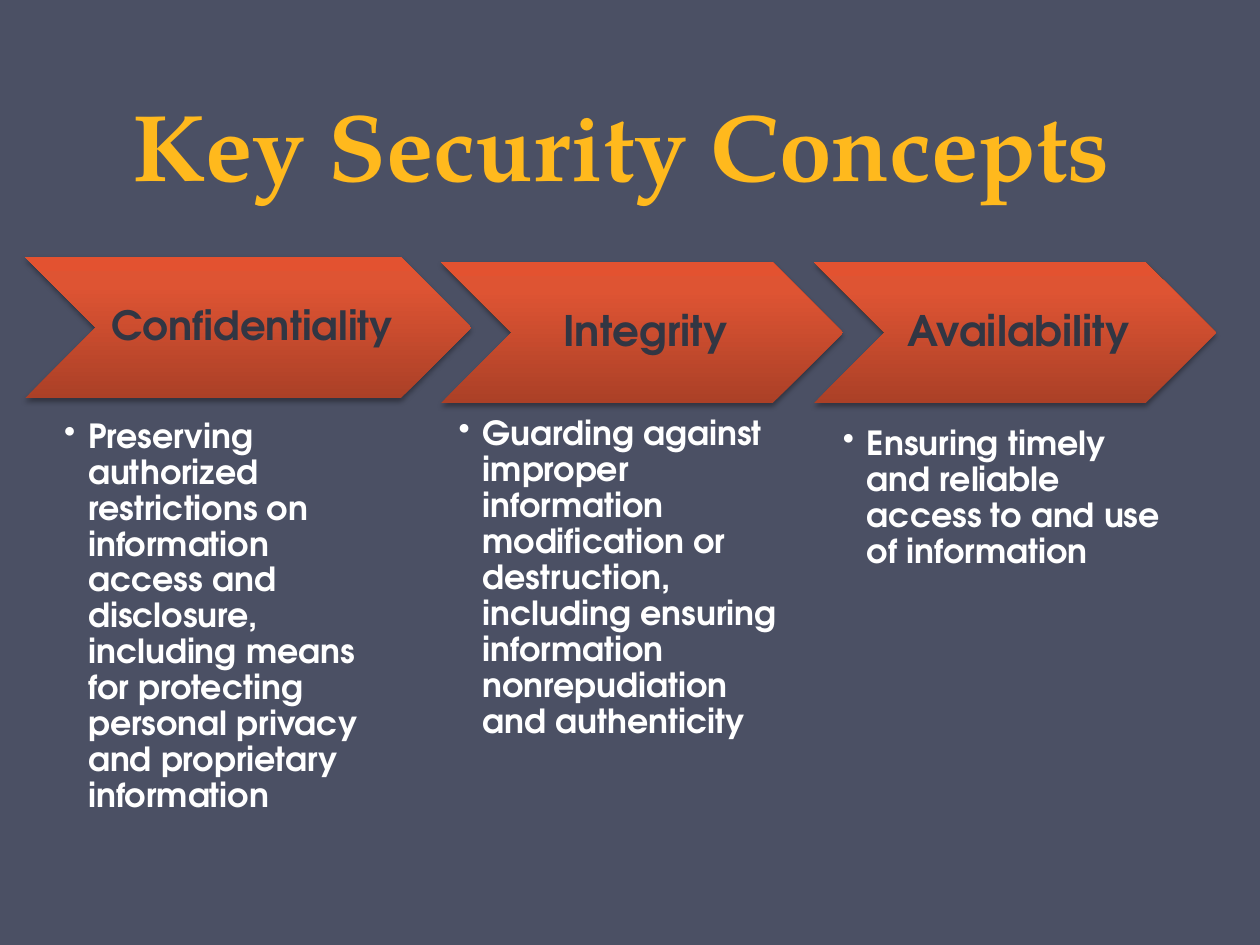
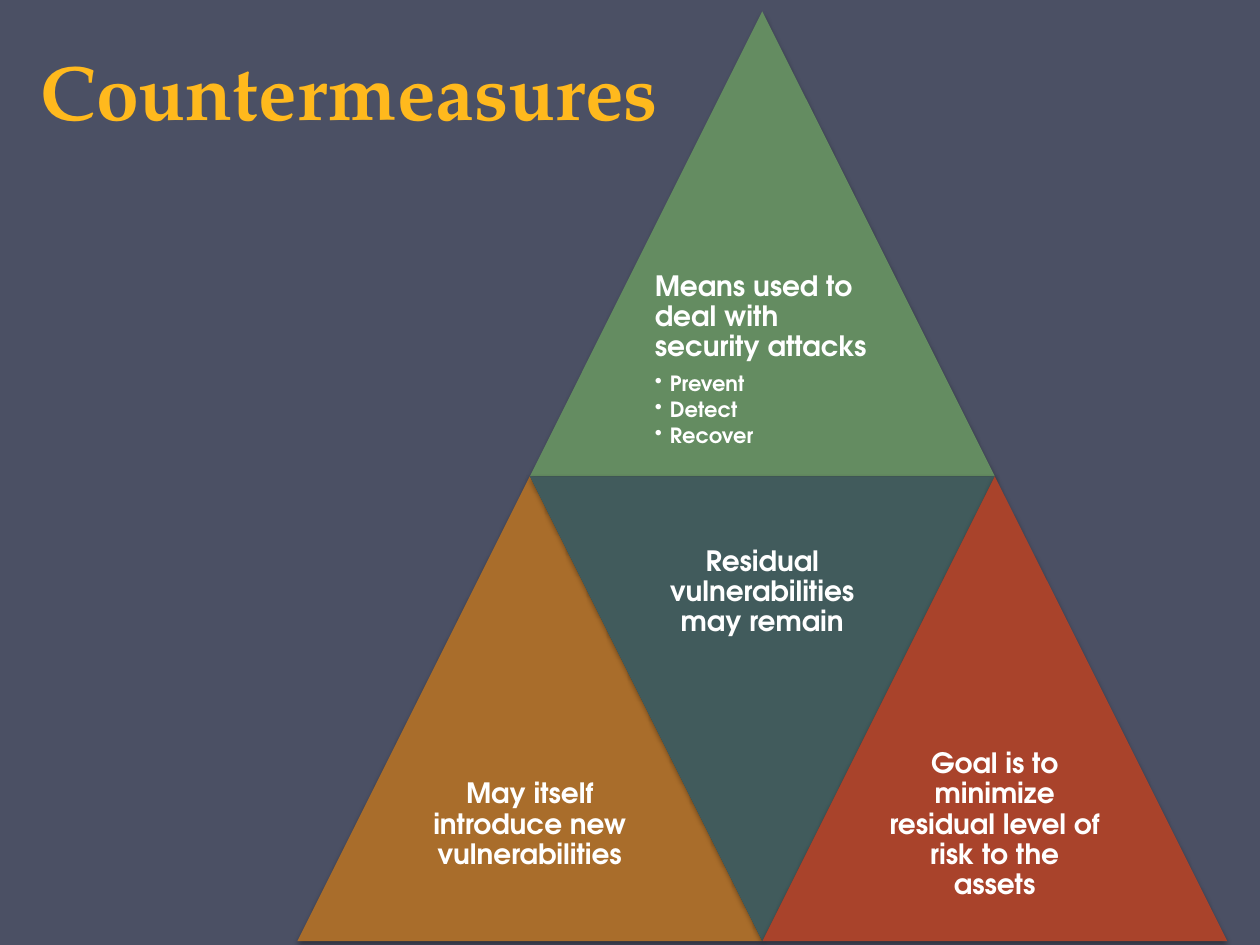
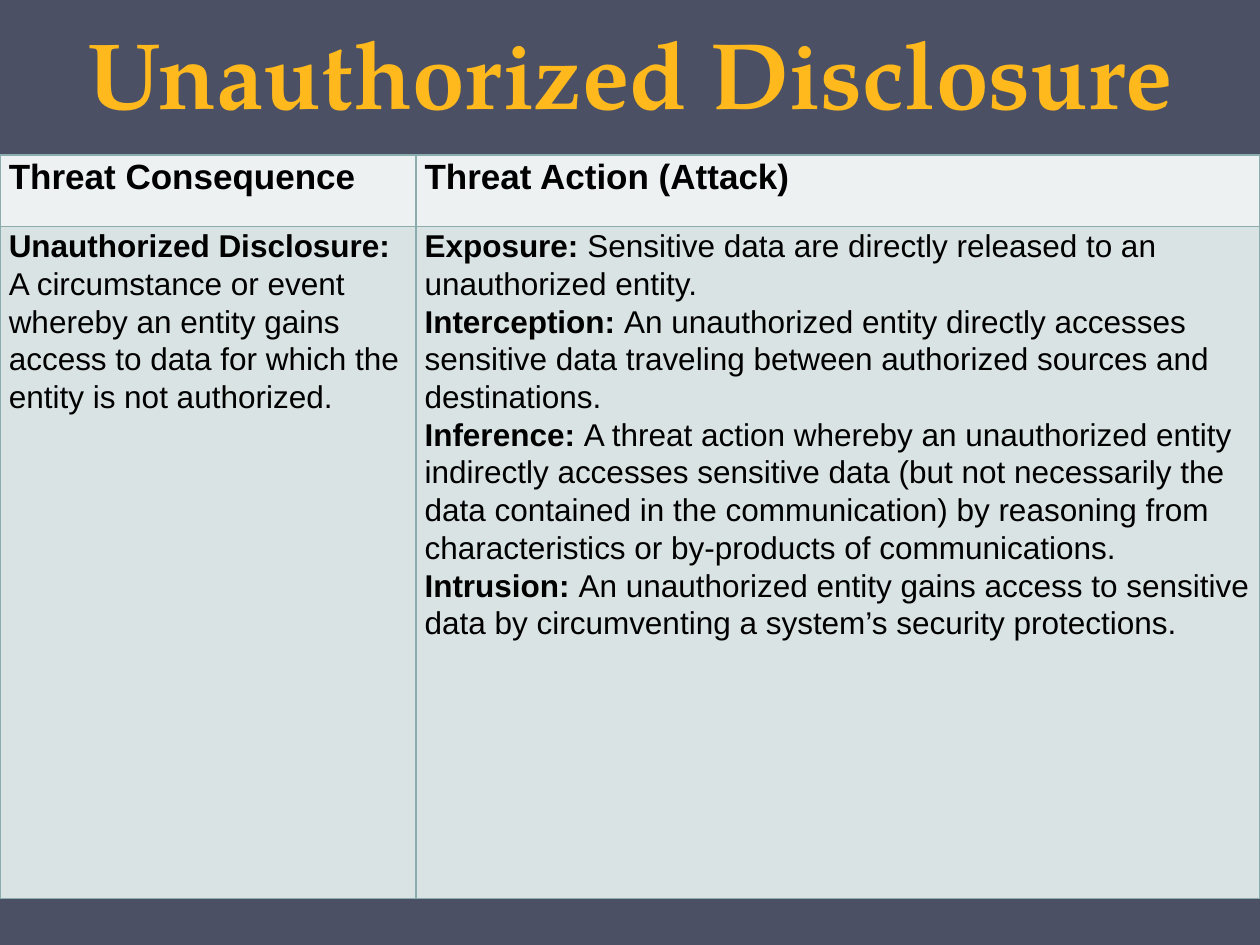
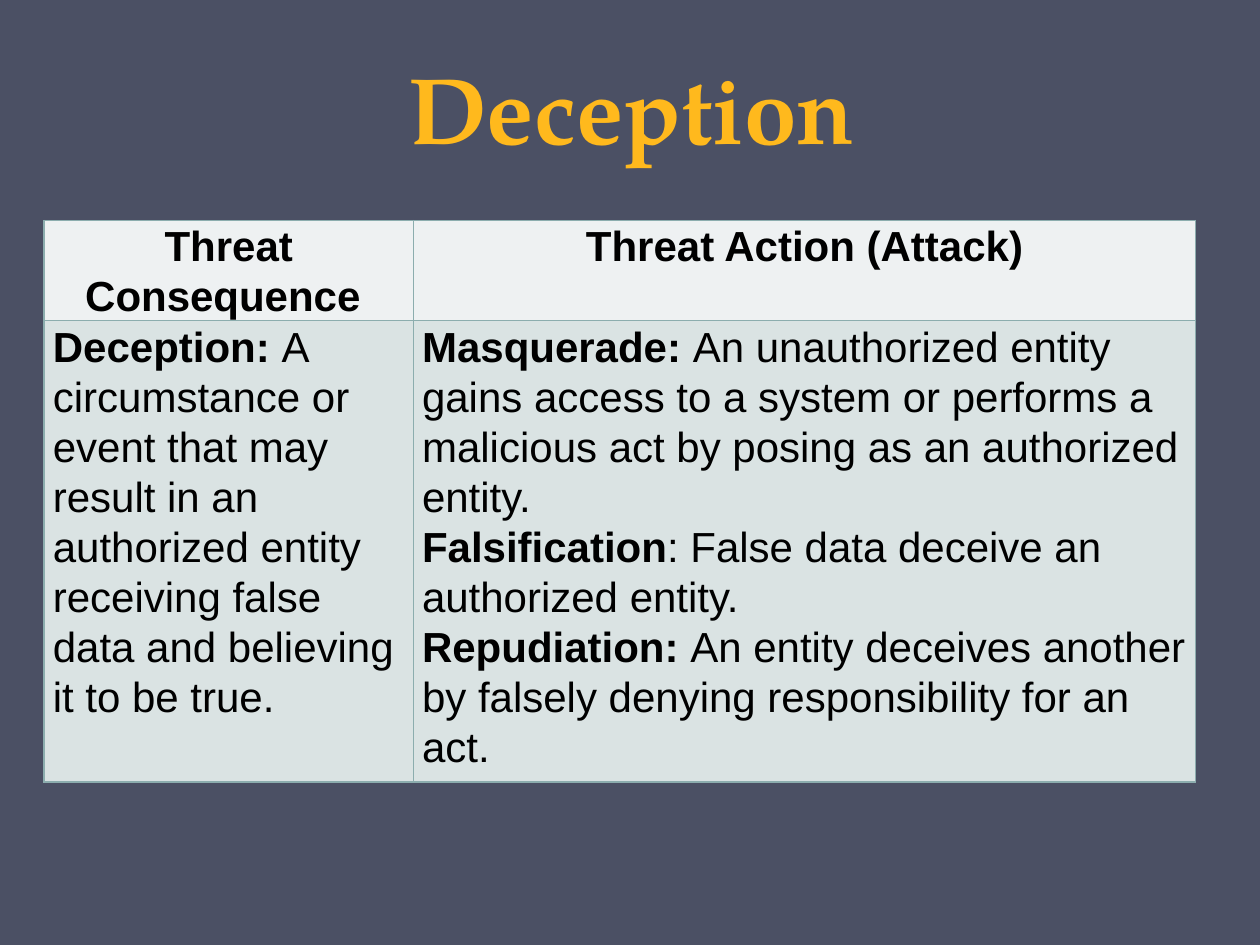
import copy

import lxml.etree
import pptx
import pptx.dml.color
import pptx.enum.shapes
import pptx.enum.text
import pptx.oxml.ns
import pptx.util

Inches = pptx.util.Inches
Pt = pptx.util.Pt
RGBColor = pptx.dml.color.RGBColor
ALIGN = pptx.enum.text.PP_ALIGN
ANCHOR = pptx.enum.text.MSO_ANCHOR
SHAPE = pptx.enum.shapes.MSO_SHAPE
qn = pptx.oxml.ns.qn

SLATE = RGBColor(0x4B, 0x50, 0x64)
GOLD = RGBColor(0xFF, 0xB9, 0x1D)
WHITE = RGBColor(0xFF, 0xFF, 0xFF)
BLACK = RGBColor(0x00, 0x00, 0x00)
INK = RGBColor(0x32, 0x36, 0x43)
GREEN = RGBColor(0x64, 0x8C, 0x61)
OCHRE = RGBColor(0xA9, 0x6D, 0x2B)
TEAL = RGBColor(0x41, 0x5B, 0x5C)
BRICK = RGBColor(0xA9, 0x43, 0x2B)
HEADER_FILL = RGBColor(0xEE, 0xF1, 0xF2)
BODY_FILL = RGBColor(0xDA, 0xE3, 0xE3)
BORDER = RGBColor(0x8C, 0xAD, 0xAE)
CHEVRON_STOPS = [
    (0, RGBColor(0xAB, 0x40, 0x27)),
    (0.8, RGBColor(0xDE, 0x54, 0x33)),
    (1, RGBColor(0xE3, 0x52, 0x30)),
]

TITLE_FONT = "TeX Gyre Pagella"
DIAGRAM_FONT = "TeX Gyre Adventor"
TABLE_FONT = "Arial"

# Boxes are (left, top, width, height) in inches.
CONCEPTS = [
    {
        "label": "Confidentiality", "size": 23, "inset": 0.03,
        "chevron": (0.2, 2.04, 3.54, 1.12), "details": (0.51, 3.33, 2.55, 3.89),
        "meaning": "Preserving authorized restrictions on information access and "
                   "disclosure, including means for protecting personal privacy "
                   "and proprietary information",
    },
    {
        "label": "Integrity", "size": 24, "inset": 0.04,
        "chevron": (3.5, 2.08, 3.19, 1.12), "details": (3.64, 3.31, 2.55, 3.73),
        "meaning": "Guarding against improper information modification or "
                   "destruction, including ensuring information nonrepudiation "
                   "and authenticity",
    },
    {
        "label": "Availability", "size": 24, "inset": 0.04,
        "chevron": (6.46, 2.08, 3.19, 1.12), "details": (6.69, 3.39, 2.55, 3.73),
        "meaning": "Ensuring timely and reliable access to and use of information",
    },
]

# Columns count half triangles from the left, rows count from the top.
PYRAMID_LEFT, PYRAMID_TOP, TRIANGLE_SIDE = 2.36, 0.09, 3.69
COUNTERMEASURES = [
    {"column": 1, "row": 0, "color": GREEN, "inverted": False,
     "text": "Means used to deal with security attacks",
     "bullets": ["Prevent", "Detect", "Recover"]},
    {"column": 0, "row": 1, "color": OCHRE, "inverted": False,
     "text": "May itself introduce new vulnerabilities", "bullets": []},
    {"column": 1, "row": 1, "color": TEAL, "inverted": True,
     "text": "Residual vulnerabilities may remain", "bullets": []},
    {"column": 2, "row": 1, "color": BRICK, "inverted": False,
     "text": "Goal is to minimize residual level of risk to the assets",
     "bullets": []},
]

# Each paragraph is a (bold term, plain definition) pair.
THREATS = [
    {
        "title": "Unauthorized Disclosure", "title_box": (0.5, 0, 9, 1.07),
        "table_box": (0, 1.23, 10, 5.9),
        "columns": (3.3, 6.7), "rows": (0.57, 5.33),
        "header_size": 20, "body_size": 18, "header_align": ALIGN.LEFT,
        "headers": ["Threat Consequence", "Threat Action (Attack)"],
        "consequence": [
            ("Unauthorized Disclosure:", ""),
            ("", "A circumstance or event whereby an entity gains access to data "
                 "for which the entity is not authorized."),
        ],
        "actions": [
            ("Exposure: ", "Sensitive data are directly released to an "
                           "unauthorized entity."),
            ("Interception: ", "An unauthorized entity directly accesses sensitive "
                               "data traveling between authorized sources and "
                               "destinations."),
            ("Inference: ", "A threat action whereby an unauthorized entity "
                            "indirectly accesses sensitive data (but not "
                            "necessarily the data contained in the communication) "
                            "by reasoning from characteristics or by-products of "
                            "communications."),
            ("Intrusion: ", "An unauthorized entity gains access to sensitive data "
                            "by circumventing a system’s security protections."),
        ],
    },
    {
        "title": "Deception", "title_box": (0.51, 0.36, 9, 0.99),
        "table_box": (0.35, 1.75, 9.14, 4.25),
        "columns": (2.93, 6.21), "rows": (0.59, 3.66),
        "header_size": 24, "body_size": 24, "header_align": ALIGN.CENTER,
        "headers": ["Threat Consequence ", "Threat Action (Attack)"],
        "consequence": [
            ("Deception: ", "A circumstance or event that may result in an "
                            "authorized entity"),
            ("", "receiving false data and believing it to be true."),
        ],
        "actions": [
            ("Masquerade: ", "An unauthorized entity gains access to a system or "
                             "performs a malicious act by posing as an authorized "
                             "entity."),
            ("Falsification", ": False data deceive an authorized entity."),
            ("Repudiation: ", "An entity deceives another by falsely denying "
                              "responsibility for an act."),
        ],
    },
]


def inches(box):
    return [Inches(length) for length in box]


def add_run(paragraph, text, font, size, color, bold=True):
    run = paragraph.add_run()
    run.text = text
    run.font.name = font
    run.font.size = Pt(size)
    run.font.color.rgb = color
    run.font.bold = bold


def set_insets(target, left, top, right, bottom):
    target.margin_left, target.margin_top = Inches(left), Inches(top)
    target.margin_right, target.margin_bottom = Inches(right), Inches(bottom)


def next_paragraph(frame):
    """Return the empty first paragraph, or a new one after text."""
    first = frame.paragraphs[0]
    return frame.add_paragraph() if first.runs else first


def add_titled_slide(deck, title, box, size=54):
    slide = deck.slides.add_slide(deck.slide_layouts.get_by_name("Title Only"))
    heading = slide.shapes.title
    heading.left, heading.top, heading.width, heading.height = inches(box)
    frame = heading.text_frame
    frame.word_wrap = True
    frame.auto_size = pptx.enum.text.MSO_AUTO_SIZE.NONE
    frame.vertical_anchor = ANCHOR.BOTTOM
    paragraph = frame.paragraphs[0]
    paragraph.alignment = ALIGN.CENTER
    paragraph.line_spacing = Pt(58)
    add_run(paragraph, title, TITLE_FONT, size, GOLD)
    return slide


def add_frame(shapes, box, insets, anchor):
    frame = shapes.add_textbox(*inches(box)).text_frame
    frame.word_wrap = True
    frame.vertical_anchor = anchor
    set_insets(frame, *insets)
    return frame


def add_label(frame, text, size, color, align=ALIGN.CENTER):
    paragraph = next_paragraph(frame)
    paragraph.alignment = align
    paragraph.line_spacing = 0.9
    paragraph.space_after = Pt(round(0.35 * size))
    add_run(paragraph, text, DIAGRAM_FONT, size, color)


def add_bullet(frame, text, size, indent):
    paragraph = next_paragraph(frame)
    paragraph.level = 1
    paragraph.line_spacing = 0.9
    paragraph.space_after = Pt(round(0.15 * size))
    properties = paragraph._p.get_or_add_pPr()
    properties.set("marL", str(Inches(indent)))
    properties.set("indent", str(-Inches(indent)))
    lxml.etree.SubElement(properties, qn("a:buChar"), char="•")
    add_run(paragraph, text, DIAGRAM_FONT, size, WHITE)


def add_shadowed_shape(shapes, kind, box):
    shape = shapes.add_shape(kind, *inches(box))
    shape.line.fill.background()
    shape.shadow.inherit = False
    effects = shape._element.spPr.find(qn("a:effectLst"))
    shadow = lxml.etree.SubElement(
        effects, qn("a:outerShdw"), blurRad=str(Pt(3.1)), dist=str(Pt(1.8)),
        dir="5400000", rotWithShape="0")
    color = lxml.etree.SubElement(shadow, qn("a:srgbClr"), val=str(BLACK))
    lxml.etree.SubElement(color, qn("a:alpha"), val="35000")
    return shape


def fill_chevron(chevron):
    chevron.fill.gradient()
    chevron.fill.gradient_angle = 90
    stop_list = next(chevron._element.spPr.iter(qn("a:gsLst")))
    stop_list.append(copy.deepcopy(stop_list[-1]))
    for stop, (position, color) in zip(chevron.fill.gradient_stops, CHEVRON_STOPS):
        stop.position = position
        stop.color.rgb = color


def build_concepts(deck):
    slide = add_titled_slide(deck, "Key Security Concepts", (0.43, 0.52, 9, 1.12))
    shapes = slide.shapes.add_group_shape().shapes
    for concept in CONCEPTS:
        left, top, width, height = concept["chevron"]
        fill_chevron(add_shadowed_shape(shapes, SHAPE.CHEVRON, concept["chevron"]))
        notch = height / 2
        inset = concept["inset"]
        label = add_frame(shapes, (left + notch, top, width - 2 * notch, height),
                          (0.1, inset, inset, inset), ANCHOR.MIDDLE)
        add_label(label, concept["label"], concept["size"], INK)
        details = add_frame(shapes, concept["details"], (0, 0, 0, 0), ANCHOR.TOP)
        add_bullet(details, concept["meaning"], 19, 0.19)


def build_countermeasures(deck):
    slide = add_titled_slide(deck, "Countermeasures", (-0.53, 0.21, 6.61, 0.92), 44)
    shapes = slide.shapes.add_group_shape().shapes
    half = TRIANGLE_SIDE / 2
    for measure in COUNTERMEASURES:
        left = PYRAMID_LEFT + measure["column"] * half
        top = PYRAMID_TOP + measure["row"] * TRIANGLE_SIDE
        triangle = add_shadowed_shape(shapes, SHAPE.ISOSCELES_TRIANGLE,
                                      (left, top, TRIANGLE_SIDE, TRIANGLE_SIDE))
        triangle.fill.solid()
        triangle.fill.fore_color.rgb = measure["color"]
        triangle.rotation = 180 if measure["inverted"] else 0
        text_top = top if measure["inverted"] else top + half
        frame = add_frame(shapes, (left + half / 2, text_top, half, half),
                          (0.07, 0.07, 0.07, 0.07), ANCHOR.MIDDLE)
        align = ALIGN.LEFT if measure["bullets"] else ALIGN.CENTER
        add_label(frame, measure["text"], 16, WHITE, align)
        for bullet in measure["bullets"]:
            add_bullet(frame, bullet, 12, 0.12)


def fill_cell(cell, entries, size, fill, align=ALIGN.LEFT):
    set_insets(cell, 0.07, 0, 0.07, 0)
    properties = cell._tc.get_or_add_tcPr()
    for side in ("lnL", "lnR", "lnT", "lnB"):
        border = lxml.etree.SubElement(properties, qn(f"a:{side}"), w=str(Pt(1)))
        paint = lxml.etree.SubElement(border, qn("a:solidFill"))
        lxml.etree.SubElement(paint, qn("a:srgbClr"), val=str(BORDER))
    cell.fill.solid()
    cell.fill.fore_color.rgb = fill
    for term, definition in entries:
        paragraph = next_paragraph(cell.text_frame)
        paragraph.alignment = align
        paragraph.line_spacing = 1.07
        for text, bold in ((term, True), (definition, False)):
            if text:
                add_run(paragraph, text, TABLE_FONT, size, BLACK, bold)


def build_threat(deck, threat):
    slide = add_titled_slide(deck, threat["title"], threat["title_box"])
    table = slide.shapes.add_table(2, 2, *inches(threat["table_box"])).table
    table.first_row = table.horz_banding = False
    for column, width in zip(table.columns, threat["columns"]):
        column.width = Inches(width)
    for row, height in zip(table.rows, threat["rows"]):
        row.height = Inches(height)
    bodies = (threat["consequence"], threat["actions"])
    for index, (header, body) in enumerate(zip(threat["headers"], bodies)):
        fill_cell(table.cell(0, index), [(header, "")], threat["header_size"],
                  HEADER_FILL, threat["header_align"])
        fill_cell(table.cell(1, index), body, threat["body_size"], BODY_FILL)


def main():
    deck = pptx.Presentation()
    deck.slide_width, deck.slide_height = Inches(10), Inches(7.5)
    background = deck.slide_master.background.fill
    background.solid()
    background.fore_color.rgb = SLATE
    build_concepts(deck)
    build_countermeasures(deck)
    for threat in THREATS:
        build_threat(deck, threat)
    deck.save("out.pptx")


if __name__ == "__main__":
    main()
